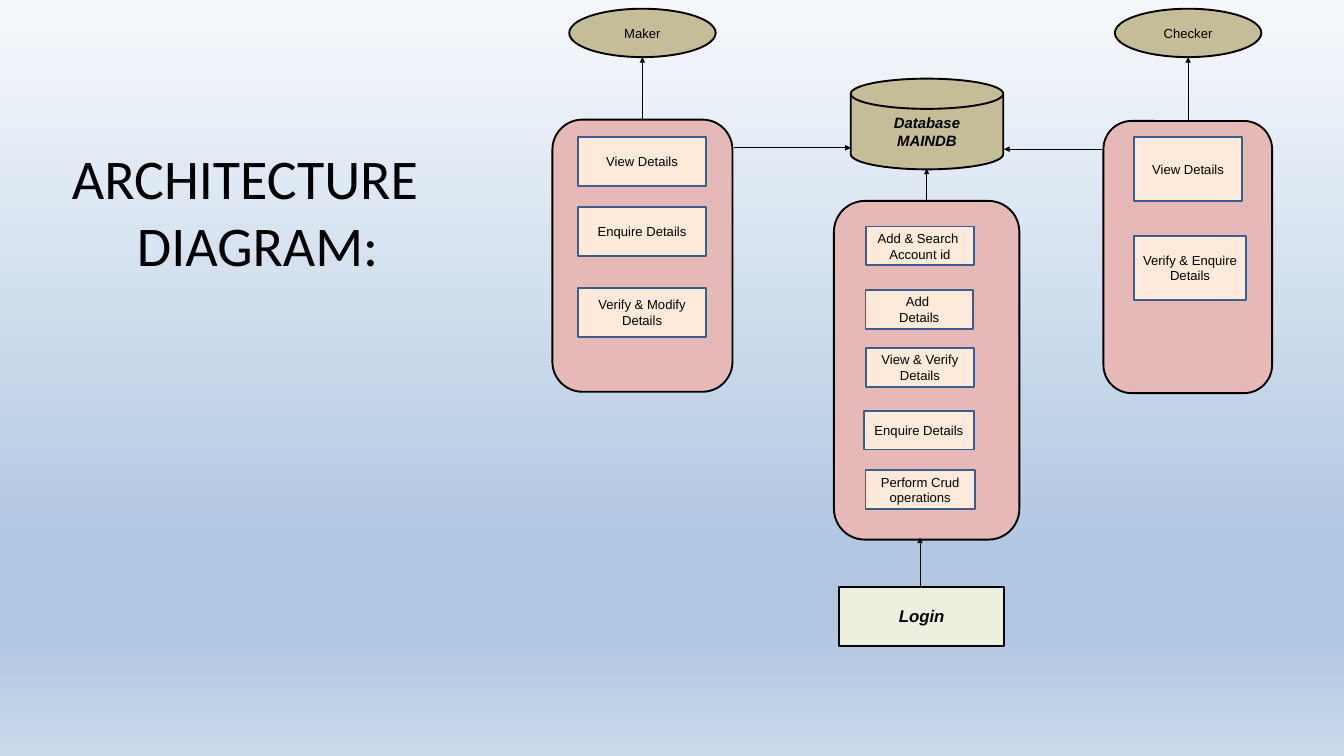
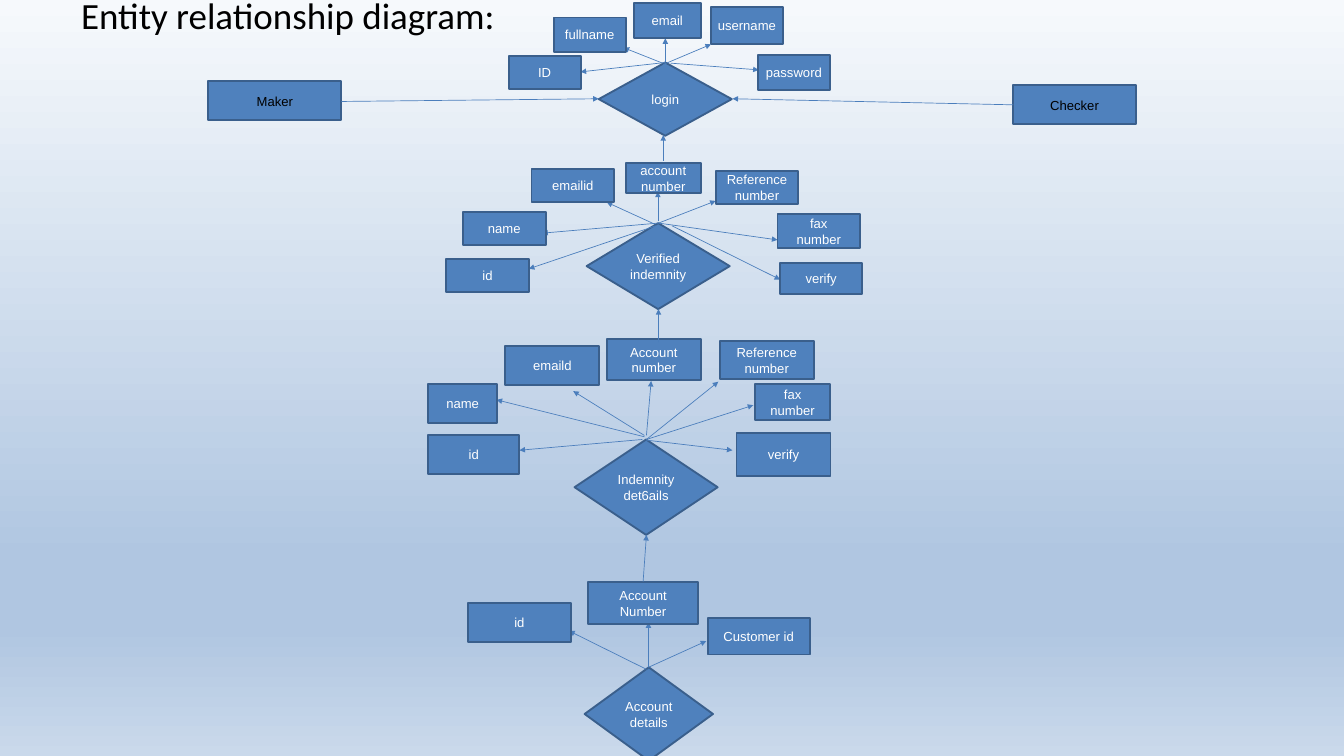
from lxml import etree
from pptx import Presentation
from pptx.dml.color import RGBColor
from pptx.enum import shapes, text
from pptx.oxml.ns import qn
from pptx.util import Inches, Pt

KIND = shapes.MSO_SHAPE
BLACK, WHITE = "000000", "FFFFFF"
KHAKI, ROSE, CREAM, MINT = "C4BD97", "E6B9B8", "FDEADA", "EBF1DE"
BLUE, NAVY, ARROW_BLUE = "4F81BD", "3A5F8C", "4B7EBC"
SKY = [(0, "F6F9FC"), (74, "B0C6E1"), (83, "B0C6E1"), (100, "CAD9EB")]
color = RGBColor.from_string


def add_text(s, words, at, kind=None, fill=BLUE, line=NAVY,
             size=14, font="Arial", ink=WHITE, strong=False):
    """Add a preset shape, or a plain text box when kind is None."""
    at = [Inches(n) for n in at]
    if kind is None:
        sp = s.shapes.add_textbox(*at)
    else:
        sp = s.shapes.add_shape(kind, *at)
        sp.shadow.inherit = False
        sp.fill.solid()
        sp.fill.fore_color.rgb = color(fill)
        sp.line.color.rgb = color(line)
        sp.line.width = Pt(2)
    tf = sp.text_frame
    tf.word_wrap = True
    tf.vertical_anchor = text.MSO_ANCHOR.MIDDLE
    for i, row in enumerate(words.split("\n")):
        p = tf.add_paragraph() if i else tf.paragraphs[0]
        p.text = row
        p.alignment = text.PP_ALIGN.CENTER
        for r in p.runs:
            r.font.name, r.font.size = font, Pt(size)
            r.font.color.rgb = color(ink)
            if strong:
                r.font.bold = r.font.italic = True


def add_arrow(s, x1, y1, x2, y2, line=ARROW_BLUE):
    c = s.shapes.add_connector(shapes.MSO_CONNECTOR.STRAIGHT,
                               *[Inches(n) for n in (x1, y1, x2, y2)])
    c.line.color.rgb = color(line)
    c.line.width = Pt(0.75)
    sp_pr = c.element.spPr
    etree.SubElement(sp_pr.find(qn("a:ln")), qn("a:tailEnd"), type="triangle")
    etree.SubElement(sp_pr, qn("a:effectLst"))


prs = Presentation()
prs.slide_width, prs.slide_height = Inches(20), Inches(11.25)
blank = prs.slide_layouts[6]

# Sky gradient on the master, shared by both slides
fill = prs.slide_master.background.fill
fill.gradient()
fill.gradient_angle = 270
stops = prs.slide_master.element.xpath("./p:cSld/p:bg//a:gsLst")[0]
for old in list(stops):
    stops.remove(old)
for percent, shade in SKY:
    gs = etree.SubElement(stops, qn("a:gs"), pos=str(percent * 1000))
    etree.SubElement(gs, qn("a:srgbClr"), val=shade)

# Slide 1: architecture
s = prs.slides.add_slide(blank)
add_text(s, "ARCHITECTURE \v DIAGRAM:", (0.75, 2.33, 5.98, 1.61),
         size=60, font="Calibri", ink=BLACK)

panels = [
    ((12.41, 2.99, 2.76, 5.04), [
        ("Add & Search \nAccount id", (12.89, 3.37, 1.6, 0.58)),
        ("Add \nDetails", (12.88, 4.31, 1.6, 0.58)),
        ("View & Verify Details", (12.89, 5.18, 1.6, 0.58)),
        ("Enquire Details", (12.86, 6.11, 1.63, 0.58)),
        ("Perform Crud operations", (12.88, 7, 1.63, 0.58))]),
    ((16.42, 1.8, 2.51, 4.05), [
        ("View Details", (16.88, 2.04, 1.6, 0.95)),
        ("Verify & Enquire Details", (16.88, 3.51, 1.66, 0.95))]),
    ((8.22, 1.78, 2.68, 4.05), [
        ("View Details", (8.6, 2.04, 1.91, 0.73)),
        ("Enquire Details", (8.6, 3.08, 1.91, 0.73)),
        ("Verify & Modify Details", (8.6, 4.28, 1.91, 0.73))]),
]
for panel, steps in panels:
    add_text(s, "", panel, KIND.ROUNDED_RECTANGLE, fill=ROSE, line=BLACK)
    for words, at in steps:
        add_text(s, words, at, KIND.RECTANGLE, fill=CREAM, ink=BLACK)

add_text(s, "Login", (12.49, 8.73, 2.45, 0.88), KIND.RECTANGLE,
         fill=MINT, line=BLACK, size=18, ink=BLACK, strong=True)
add_text(s, "Database\nMAINDB", (12.66, 1.17, 2.27, 1.35),
         KIND.FLOWCHART_MAGNETIC_DISK,
         fill=KHAKI, line=BLACK, size=16, ink=BLACK, strong=True)
for role, left in [("Maker", 8.47), ("Checker", 16.59)]:
    add_text(s, role, (left, 0.13, 2.18, 0.72), KIND.OVAL,
             fill=KHAKI, line=BLACK, ink=BLACK)
for ends in [(13.69, 8.74, 13.69, 8), (13.79, 2.98, 13.79, 2.51),
             (16.4, 2.22, 14.94, 2.22), (10.92, 2.2, 12.66, 2.2),
             (9.56, 1.78, 9.56, 0.85), (17.68, 1.8, 17.68, 0.85)]:
    add_arrow(s, *ends, line=BLACK)

# Slide 2: entities, each with its attributes and the arrows to them
s = prs.slides.add_slide(blank)
add_text(s, "Entity relationship diagram:", (0.31, 0, 7.95, 0.44),
         size=39.6, font="Calibri", ink=BLACK)

entities = [
    ("Account details", (8.7, 9.93, 1.91, 1.39), [
        ("Customer id", (10.53, 9.2, 1.52, 0.54), (9.65, 9.93, 10.51, 9.54)),
        ("Account Number", (8.75, 8.66, 1.64, 0.63), (9.65, 9.93, 9.65, 9.26)),
        ("id", (6.96, 8.97, 1.54, 0.58), (9.62, 9.96, 8.47, 9.39))]),
    ("Indemnity det6ails", (8.55, 6.54, 2.13, 1.42), [
        ("Account\nnumber", (9.03, 5.05, 1.4, 0.61), (9.62, 6.48, 9.69, 5.67)),
        ("Reference\nnumber", (10.71, 5.08, 1.4, 0.56), (9.62, 6.54, 10.69, 5.68)),
        ("emaild", (7.52, 5.15, 1.4, 0.58), (9.59, 6.48, 8.53, 5.82)),
        ("fax\nnumber", (11.24, 5.72, 1.11, 0.53), (9.62, 6.54, 11.21, 6.03)),
        ("name", (6.37, 5.71, 1.03, 0.58), (9.59, 6.5, 7.39, 5.95)),
        ("verify", (10.96, 6.45, 1.4, 0.63), (9.62, 6.55, 10.9, 6.7)),
        ("id", (6.37, 6.47, 1.36, 0.58), (9.56, 6.54, 7.73, 6.7))]),
    ("Verified\nindemnity", (8.73, 3.32, 2.13, 1.28), [
        ("account\nnumber", (9.31, 2.43, 1.12, 0.44), (9.79, 3.29, 9.79, 2.85)),
        ("Reference\nnumber", (10.65, 2.54, 1.23, 0.5), (9.8, 3.32, 10.65, 2.99)),
        ("emailid", (7.91, 2.51, 1.23, 0.5), (9.73, 3.33, 9.03, 3.01)),
        ("fax\nnumber", (11.57, 3.19, 1.23, 0.5), (9.8, 3.32, 11.57, 3.57)),
        ("name", (6.89, 3.15, 1.23, 0.5), (9.8, 3.32, 8.07, 3.47)),
        ("id", (6.64, 3.85, 1.23, 0.5), (9.76, 3.36, 7.87, 4)),
        ("verify", (11.61, 3.91, 1.22, 0.47), (10, 3.36, 11.61, 4.16))]),
    ("login", (8.91, 0.93, 1.98, 1.09), [
        ("email", (9.43, 0.05, 1, 0.51), (9.9, 0.93, 9.9, 0.57)),
        ("username", (10.58, 0.1, 1.07, 0.55), (9.87, 0.96, 10.58, 0.66)),
        ("password", (11.28, 0.82, 1.07, 0.52), (9.98, 0.94, 11.29, 1.04)),
        ("fullname", (8.24, 0.26, 1.07, 0.51), (9.86, 0.94, 9.28, 0.71)),
        ("ID", (7.57, 0.83, 1.07, 0.49), (9.9, 0.93, 8.64, 1.07))]),
]
for entity, diamond, attributes in entities:
    add_text(s, entity, diamond, KIND.DIAMOND)
    for words, at, ends in attributes:
        add_arrow(s, *ends)
        add_text(s, words, at, KIND.RECTANGLE)

for ends in [(9.57, 8.66, 9.62, 7.96), (9.8, 5.09, 9.8, 4.6),
             (9.87, 2.39, 9.87, 2.01)]:
    add_arrow(s, *ends)
for role, at, ends in [
        ("Checker", (15.08, 1.27, 1.82, 0.58), (15.08, 1.56, 10.9, 1.47)),
        ("Maker", (3.1, 1.21, 1.98, 0.58), (5.08, 1.51, 8.91, 1.47))]:
    add_text(s, role, at, KIND.RECTANGLE, ink=BLACK)
    add_arrow(s, *ends)

prs.save("out.pptx")
